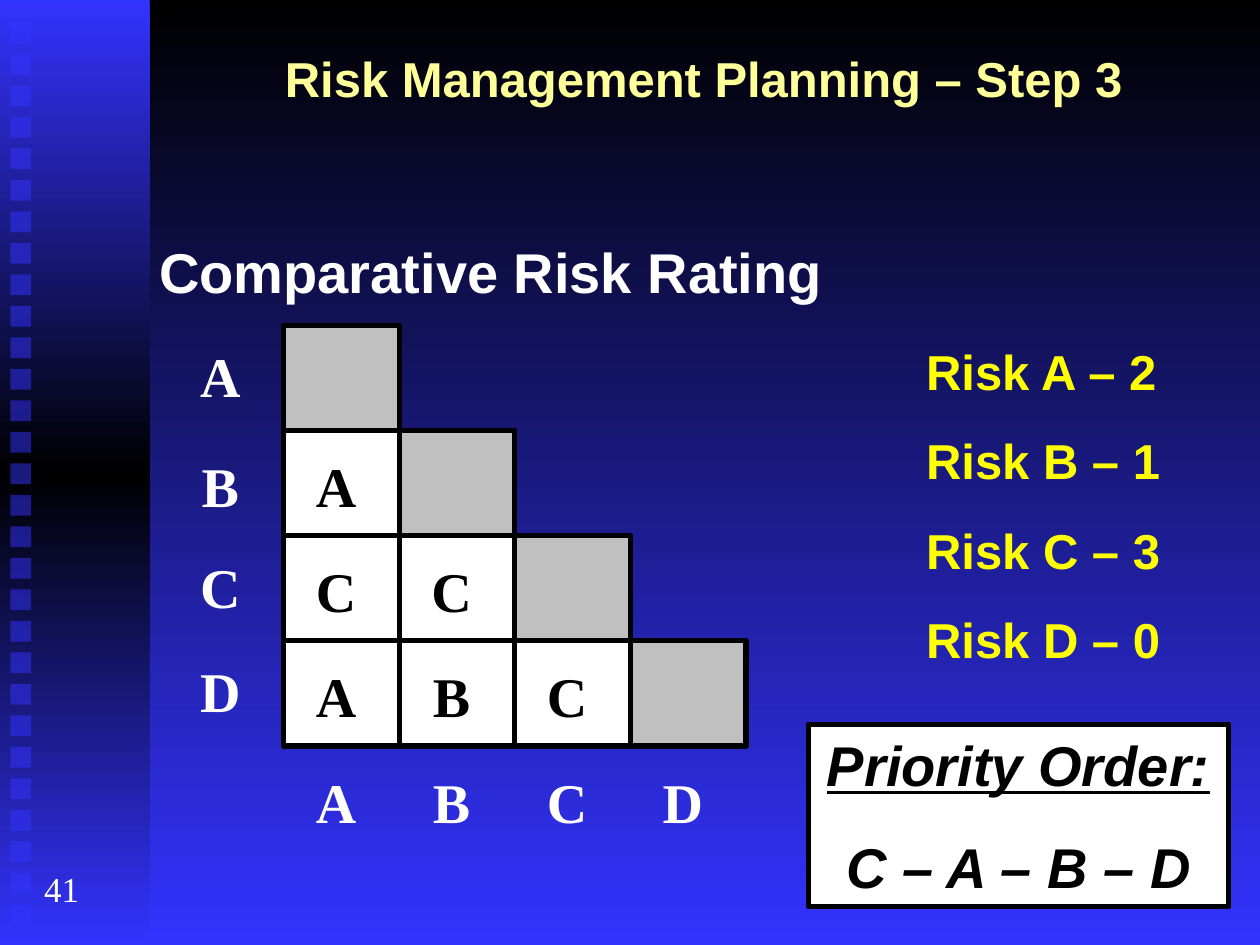
import copy
from dataclasses import dataclass

import pptx
import pptx.dml.color
import pptx.enum.shapes
import pptx.enum.text
import pptx.oxml
import pptx.oxml.ns
import pptx.util
from pptx.dml.color import RGBColor
from pptx.util import Cm

BLACK = RGBColor(0x00, 0x00, 0x00)
WHITE = RGBColor(0xFF, 0xFF, 0xFF)
BLUE = RGBColor(0x33, 0x33, 0xFF)
GREY = RGBColor(0xC0, 0xC0, 0xC0)
PALE_YELLOW = RGBColor(0xFF, 0xFF, 0x99)
YELLOW = RGBColor(0xFF, 0xFF, 0x00)

ALIGN = pptx.enum.text.PP_ALIGN
SLIDE_W, SLIDE_H = Cm(25.4), Cm(19.05)
GRID_LEFT, GRID_TOP = Cm(5.72), Cm(6.56)
CELL_W, CELL_H = Cm(2.33), Cm(2.12)
LABEL_W, LABEL_H = Cm(1.69), Cm(1.63)
LABEL_DX, LABEL_DY = Cm(0.21), Cm(0.3)
ROW_LABEL_LEFT = Cm(3.6)
ROW_LABEL_TOPS = [Cm(6.77), Cm(8.98), Cm(11.01), Cm(13.12)]

RISKS = "ABCD"
WINNERS = ["", "A", "CC", "ABC"]  # preferred risk of each pair, row by row


@dataclass
class Style:
    size: float
    color: RGBColor
    font: str = "Arial"
    bold: bool = True
    italic: bool = False
    align: ALIGN = ALIGN.LEFT


@dataclass
class Box:
    left: int
    top: int
    width: int
    height: int


def write(sp, lines: list[str], style: Style) -> None:
    tf = sp.text_frame
    tf.text = "\n".join(lines)
    tf.word_wrap = True
    tf.auto_size = pptx.enum.text.MSO_AUTO_SIZE.SHAPE_TO_FIT_TEXT
    tf.vertical_anchor = pptx.enum.text.MSO_ANCHOR.TOP
    for p in tf.paragraphs:
        p.alignment = style.align
        p.space_before = pptx.util.Pt(style.size * 0.625)
        for r in p.runs:
            r.font.name = style.font
            r.font.size = pptx.util.Pt(style.size)
            r.font.bold = style.bold
            r.font.italic = style.italic
            r.font.color.rgb = style.color


def add_text(s, box: Box, lines: list[str], style: Style) -> None:
    sp = s.shapes.add_textbox(box.left, box.top, box.width, box.height)
    write(sp, lines, style)


def add_rect(s, box: Box, color: RGBColor, outlined: bool = False):
    sp = s.shapes.add_shape(pptx.enum.shapes.MSO_SHAPE.RECTANGLE,
                            box.left, box.top, box.width, box.height)
    sp.shadow.inherit = False
    sp.fill.solid()
    sp.fill.fore_color.rgb = color
    if outlined:
        sp.line.color.rgb = BLACK
        sp.line.width = pptx.util.Pt(3)
    else:
        sp.line.fill.background()
    return sp


def set_gradient(fill, element, colors: list[RGBColor]) -> None:
    """Fill from top to bottom with evenly spaced colours."""
    fill.gradient()
    fill.gradient_angle = 270
    stops = next(element.iter(pptx.oxml.ns.qn("a:gsLst")))
    while len(stops) < len(colors):
        stops.append(copy.deepcopy(stops[-1]))
    for i, (stop, color) in enumerate(zip(fill.gradient_stops, colors)):
        stop.color.rgb = color
        stop.position = i / (len(colors) - 1)


def set_alpha(sp, percent: int) -> None:
    color = next(sp._element.spPr.iter(pptx.oxml.ns.qn("a:srgbClr")))
    alpha = pptx.oxml.parse_xml(
        f'<a:alpha {pptx.oxml.ns.nsdecls("a")} val="{percent * 1000}"/>')
    color.append(alpha)


def draw_sidebar(s) -> None:
    bar = add_rect(s, Box(0, 0, Cm(3.02), SLIDE_H), BLUE)
    set_gradient(bar.fill, bar._element, [BLUE, BLACK, BLUE])
    pitch = SLIDE_H // 30
    for i in range(29):
        box = Box(Cm(0.21), Cm(0.45) + i * pitch, Cm(0.42), Cm(0.42))
        set_alpha(add_rect(s, box, BLUE), 50)


def draw_rating_grid(s) -> None:
    light = Style(32, WHITE, "Times New Roman", align=ALIGN.CENTER)
    dark = Style(32, BLACK, "Times New Roman", align=ALIGN.CENTER)

    def label_box(row: int, col: int) -> Box:
        return Box(GRID_LEFT + col * CELL_W + LABEL_DX,
                   GRID_TOP + row * CELL_H + LABEL_DY, LABEL_W, LABEL_H)

    for col in range(len(RISKS)):
        for row in range(col, len(RISKS)):
            box = Box(GRID_LEFT + col * CELL_W, GRID_TOP + row * CELL_H,
                      CELL_W, CELL_H)
            add_rect(s, box, GREY if row == col else WHITE, outlined=True)
    for i, (risk, top) in enumerate(zip(RISKS, ROW_LABEL_TOPS)):
        add_text(s, Box(ROW_LABEL_LEFT, top, LABEL_W, LABEL_H), [risk], light)
        add_text(s, label_box(len(RISKS), i), [risk], light)
    for row, winners in enumerate(WINNERS):
        for col, winner in enumerate(winners):
            add_text(s, label_box(row, col), [winner], dark)


def main() -> None:
    prs = pptx.Presentation()
    prs.slide_width, prs.slide_height = SLIDE_W, SLIDE_H
    s = prs.slides.add_slide(prs.slide_layouts[6])
    set_gradient(s.background.fill, s._element, [BLACK, BLUE])
    draw_sidebar(s)

    add_text(s, Box(Cm(2.96), Cm(4.66), Cm(22.01), Cm(1.63)),
             ["Comparative Risk Rating"], Style(32, WHITE))
    add_text(s, Box(Cm(3.39), Cm(0.85), Cm(21.59), Cm(1.45)),
             ["Risk Management Planning – Step 3"],
             Style(28, PALE_YELLOW, align=ALIGN.CENTER))
    add_text(s, Box(Cm(0.64), Cm(17.36), Cm(1.27), Cm(1.11)), ["41"],
             Style(20, WHITE, "Times New Roman", bold=False))

    draw_rating_grid(s)

    add_text(s, Box(Cm(18.42), Cm(6.76), Cm(6.14), Cm(6.86)),
             ["Risk A – 2", "Risk B – 1", "Risk C – 3", "Risk D – 0"],
             Style(28, YELLOW))
    priority = add_rect(s, Box(Cm(16.3), Cm(14.6), Cm(8.47), Cm(3.68)),
                        WHITE, outlined=True)
    write(priority, ["Priority Order:", "C – A – B – D"],
          Style(32, BLACK, italic=True, align=ALIGN.CENTER))
    priority.text_frame.paragraphs[0].runs[0].font.underline = True

    prs.save("out.pptx")


if __name__ == "__main__":
    main()
